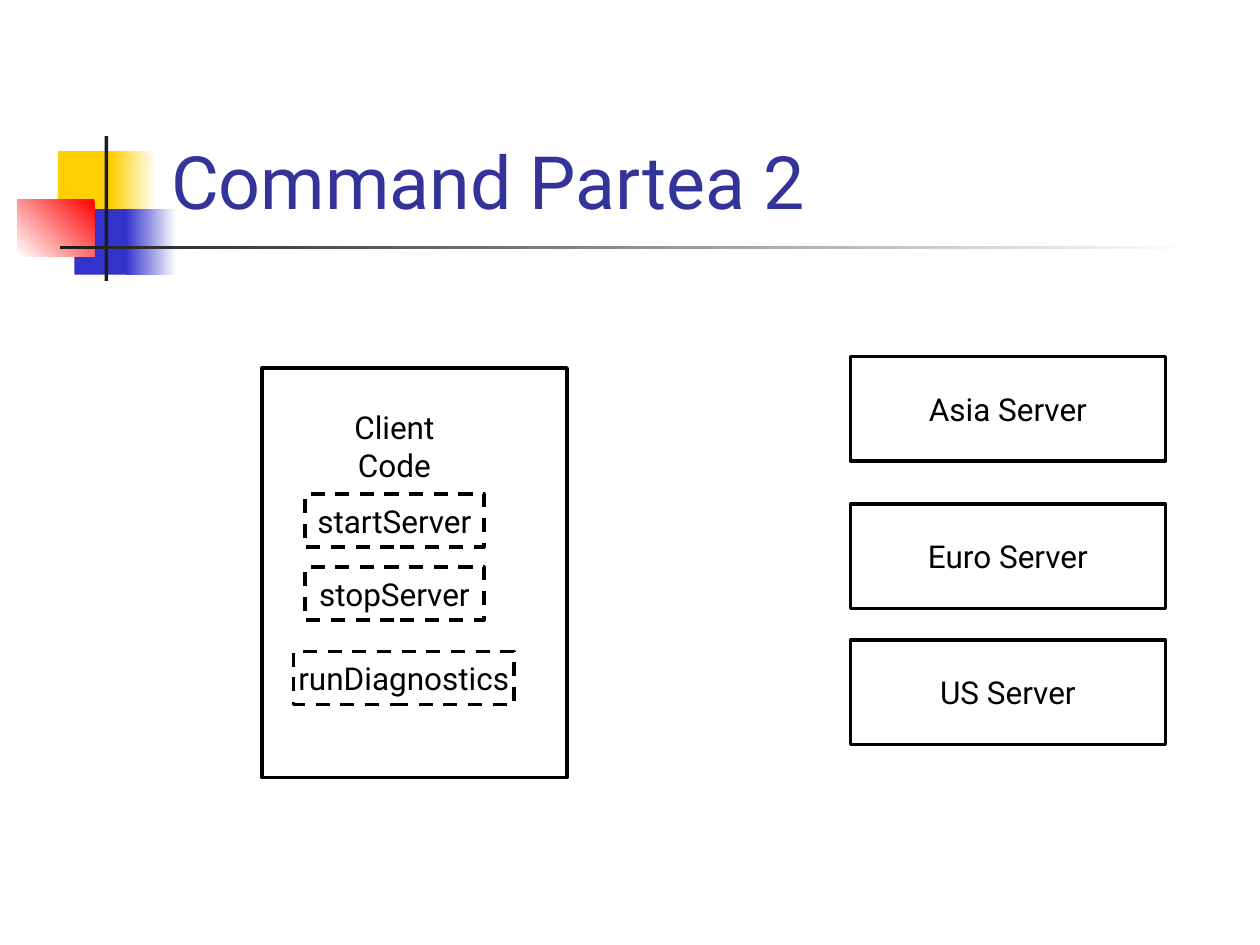
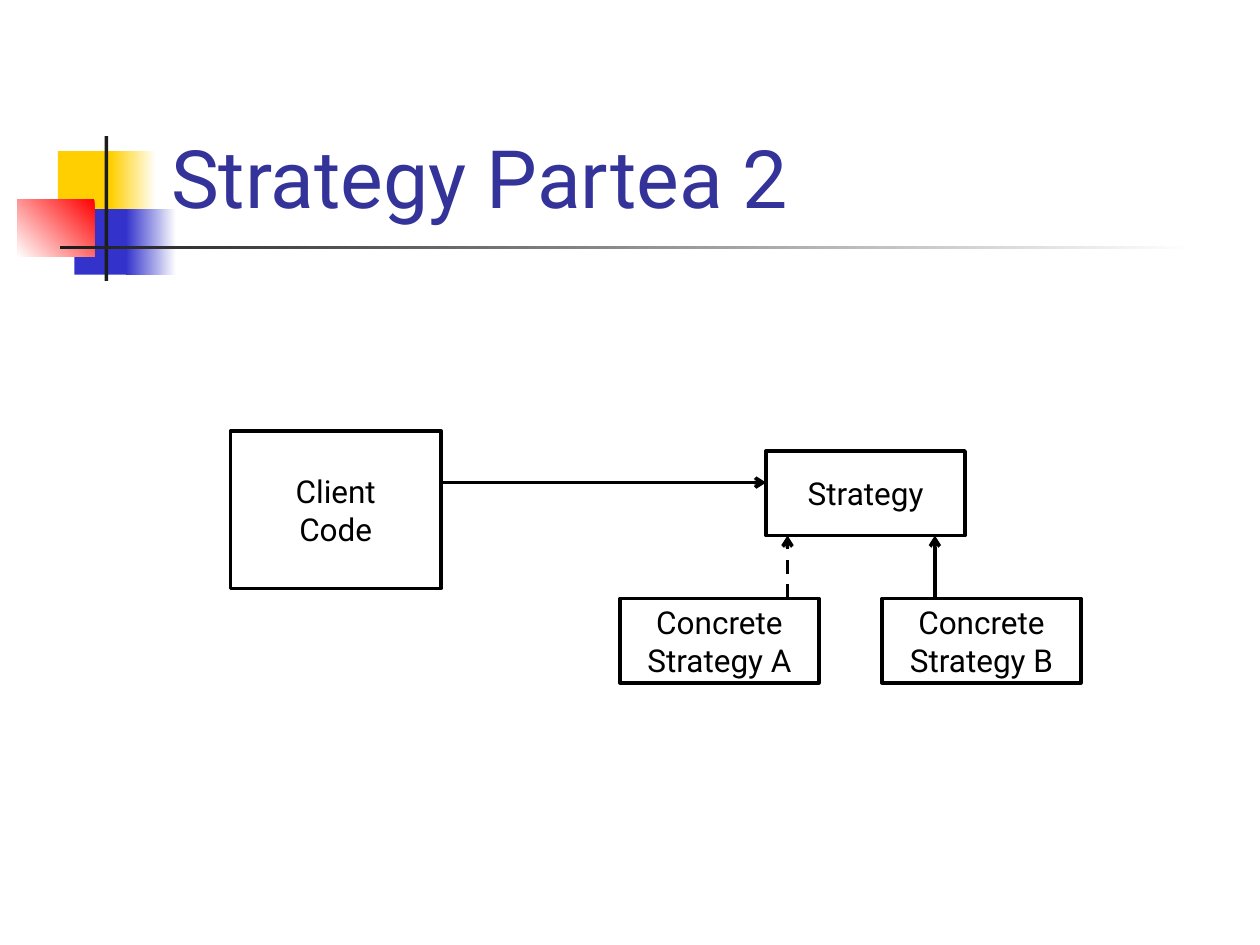
from dataclasses import dataclass
from typing import Any, Optional

import lxml.etree
import pptx
import pptx.dml.color
import pptx.enum.dml
import pptx.enum.shapes
import pptx.enum.text
import pptx.oxml.ns
import pptx.util
from pptx.util import Inches

ALIGN = pptx.enum.text.PP_ALIGN
ANCHOR = pptx.enum.text.MSO_ANCHOR
RECTANGLE = pptx.enum.shapes.MSO_SHAPE.RECTANGLE


@dataclass(frozen=True)
class Theme:
    font: str = "Roboto"
    ink: str = "000000"
    title: str = "333399"
    yellow: str = "FFCF01"
    blue: str = "3333CC"
    red: str = "FF0000"
    rule: str = "1C1C1C"
    paper: str = "FFFFFF"
    label_size: int = 18
    line_width: int = 2


THEME = Theme()


@dataclass(frozen=True)
class Area:
    left: float
    top: float
    width: float
    height: float

    def lengths(self) -> tuple:
        return tuple(Inches(v) for v in (self.left, self.top, self.width, self.height))


@dataclass(frozen=True)
class Band:
    """A decorative block; with an end colour it fades along the clockwise angle."""
    area: Area
    color: str
    end: Optional[str] = None
    angle: int = 180


@dataclass(frozen=True)
class Box:
    area: Area
    label: str = ""
    dashed: bool = False
    outlined: bool = True


@dataclass(frozen=True)
class Arrow:
    start: tuple[float, float]
    end: tuple[float, float]
    dashed: bool = False


TITLE_AREA = Area(1.26, 0.23, 8.52, 1.6)
BANDS = (
    Band(Area(0.46, 1.2, 0.48, 0.52), THEME.yellow),
    Band(Area(0.88, 1.2, 0.36, 0.52), THEME.paper, THEME.yellow),
    Band(Area(0.59, 1.66, 0.46, 0.52), THEME.blue),
    Band(Area(1, 1.66, 0.4, 0.52), THEME.paper, THEME.blue),
    Band(Area(0.14, 1.58, 0.61, 0.46), THEME.red, THEME.paper, angle=135),
    Band(Area(0.83, 1.08, 0.03, 1.15), THEME.rule),
    Band(Area(0.48, 1.95, 9, 0.03), THEME.paper, THEME.rule),
)


def rgb(color: str) -> pptx.dml.color.RGBColor:
    return pptx.dml.color.RGBColor.from_string(color)


def write_text(shape: Any, text: str, *, size: int = THEME.label_size,
               color: str = THEME.ink, align: Any = ALIGN.CENTER,
               anchor: Any = ANCHOR.MIDDLE, wrap: bool = False) -> None:
    """Fill a shape with text, one paragraph per line."""
    frame = shape.text_frame
    frame.text = text
    frame.word_wrap = wrap
    frame.vertical_anchor = anchor
    for paragraph in frame.paragraphs:
        paragraph.alignment = align
        paragraph.font.name = THEME.font
        paragraph.font.size = pptx.util.Pt(size)
        paragraph.font.color.rgb = rgb(color)


def style_line(line: Any, dashed: bool) -> None:
    line.color.rgb = rgb(THEME.ink)
    line.width = pptx.util.Pt(THEME.line_width)
    if dashed:
        line.dash_style = pptx.enum.dml.MSO_LINE.DASH


def draw_band(slide: Any, band: Band) -> None:
    block = slide.shapes.add_shape(RECTANGLE, *band.area.lengths())
    block.shadow.inherit = False
    block.line.fill.background()
    if band.end is None:
        block.fill.solid()
        block.fill.fore_color.rgb = rgb(band.color)
        return
    block.fill.gradient()
    block.fill.gradient_angle = 360 - band.angle
    for stop, color in zip(block.fill.gradient_stops, (band.color, band.end)):
        stop.color.rgb = rgb(color)


def draw_box(slide: Any, box: Box) -> None:
    if box.outlined:
        shape = slide.shapes.add_shape(RECTANGLE, *box.area.lengths())
        shape.shadow.inherit = False
        shape.fill.background()
        style_line(shape.line, box.dashed)
    else:
        shape = slide.shapes.add_textbox(*box.area.lengths())
    if box.label:
        write_text(shape, box.label)


def draw_arrow(slide: Any, arrow: Arrow) -> None:
    ends = (Inches(v) for v in arrow.start + arrow.end)
    connector = slide.shapes.add_connector(
        pptx.enum.shapes.MSO_CONNECTOR.STRAIGHT, *ends)
    style_line(connector.line, arrow.dashed)
    qn = pptx.oxml.ns.qn
    properties = connector.element.spPr
    lxml.etree.SubElement(properties.find(qn("a:ln")), qn("a:tailEnd"), type="arrow")
    lxml.etree.SubElement(properties, qn("a:effectLst"))


def add_titled_slide(deck: Any, title: str, size: int) -> Any:
    slide = deck.slides.add_slide(deck.slide_layouts[6])
    slide.background.fill.solid()
    slide.background.fill.fore_color.rgb = rgb(THEME.paper)
    for band in BANDS:
        draw_band(slide, band)
    heading = slide.shapes.add_textbox(*TITLE_AREA.lengths())
    write_text(heading, title, size=size, color=THEME.title,
               align=ALIGN.LEFT, anchor=ANCHOR.BOTTOM, wrap=True)
    return slide


def build_command(deck: Any) -> None:
    slide = add_titled_slide(deck, "Command Partea 2", 42)
    draw_box(slide, Box(Area(2.08, 2.92, 2.42, 3.25)))
    for region, top in (("Asia", 2.83), ("Euro", 4), ("US", 5.08)):
        draw_box(slide, Box(Area(6.75, top, 2.5, 0.83), f"{region} Server"))
    draw_box(slide, Box(Area(2.42, 3.33, 1.42, 0.42), "Client Code", outlined=False))
    for operation, left, top, width in (
        ("startServer", 2.42, 3.92, 1.42),
        ("stopServer", 2.42, 4.5, 1.42),
        ("runDiagnostics", 2.33, 5.17, 1.75),
    ):
        draw_box(slide, Box(Area(left, top, width, 0.42), operation, dashed=True))


def build_strategy(deck: Any) -> None:
    slide = add_titled_slide(deck, "Strategy Partea 2", 46)
    client = Area(1.83, 3.42, 1.67, 1.25)
    strategy = Area(6.08, 3.58, 1.58, 0.67)
    strategy_bottom = strategy.top + strategy.height
    concrete_top = 4.75
    call_height = 3.83

    draw_box(slide, Box(strategy, "Strategy"))
    for letter, left, arrow_x, dashed in (("A", 4.92, 6.25, True), ("B", 7, 7.42, False)):
        concrete = Area(left, concrete_top, strategy.width, strategy.height)
        draw_box(slide, Box(concrete, f"Concrete\nStrategy {letter}"))
        draw_arrow(slide, Arrow((arrow_x, concrete_top), (arrow_x, strategy_bottom), dashed))
    draw_box(slide, Box(client, "Client\nCode"))
    draw_arrow(slide, Arrow((client.left + client.width, call_height),
                            (strategy.left, call_height)))


def main() -> None:
    deck = pptx.Presentation()
    deck.slide_width, deck.slide_height = Inches(10), Inches(7.5)
    build_command(deck)
    build_strategy(deck)
    deck.save("out.pptx")


if __name__ == "__main__":
    main()
